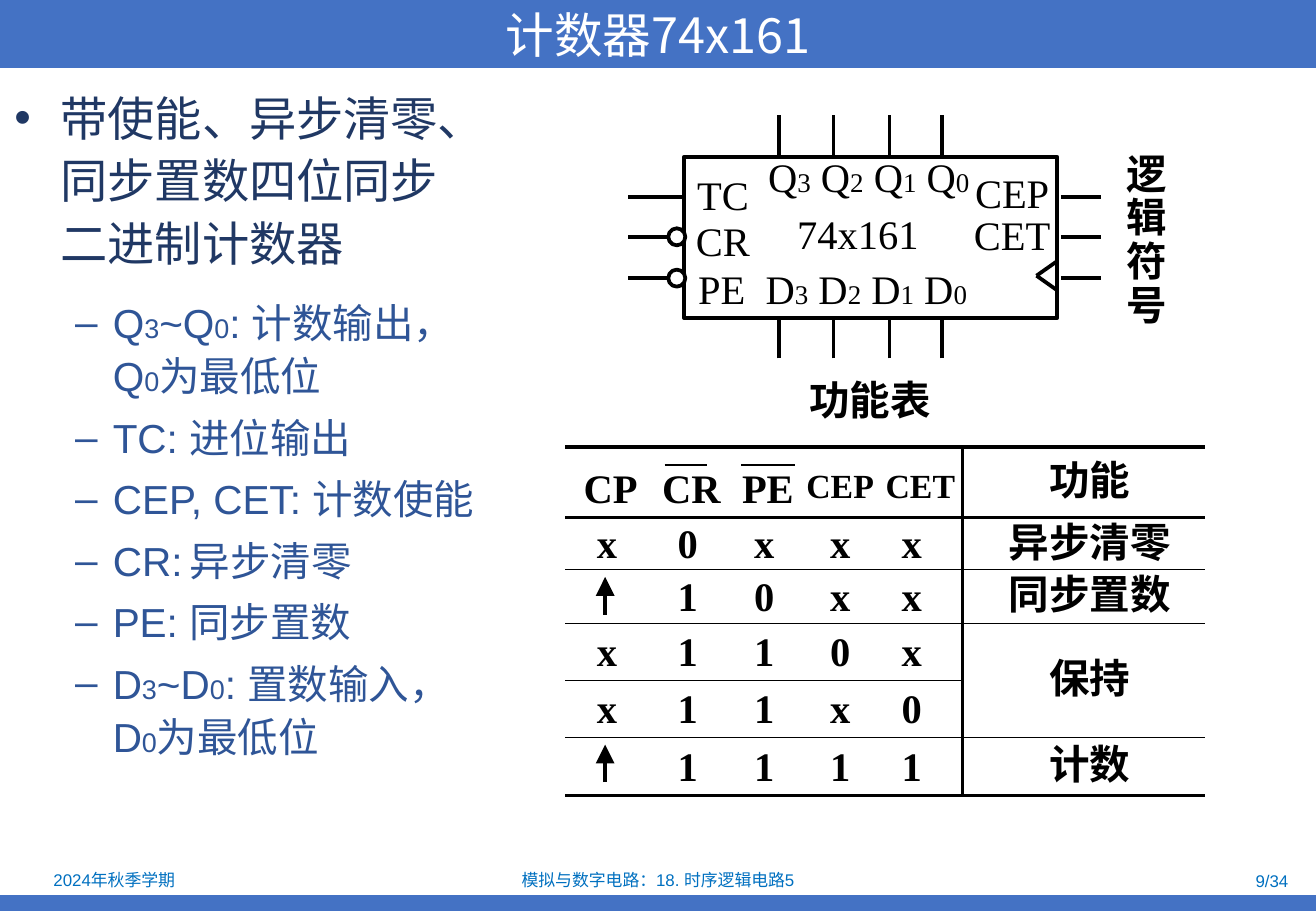
import pptx
import pptx.util
import pptx.dml.color
import pptx.enum.shapes
import pptx.enum.text
import pptx.oxml
import pptx.oxml.ns
from lxml import etree

Inches, Pt = pptx.util.Inches, pptx.util.Pt
RGBColor = pptx.dml.color.RGBColor
SHAPE = pptx.enum.shapes.MSO_SHAPE
ALIGN = pptx.enum.text.PP_ALIGN
ANCHOR = pptx.enum.text.MSO_ANCHOR
qn = pptx.oxml.ns.qn

BLUE = RGBColor(0x44, 0x72, 0xC4)
NAVY = RGBColor(0x20, 0x38, 0x64)
MID_BLUE = RGBColor(0x2F, 0x55, 0x97)
FOOTER_BLUE = RGBColor(0x00, 0x70, 0xC0)
WHITE = RGBColor(0xFF, 0xFF, 0xFF)
BLACK = RGBColor(0, 0, 0)
ARIAL, TIMES, CJK = "Arial", "Times New Roman", "Noto Sans CJK SC"

TITLE = "计数器74x161"
HEADING = "带使能、异步清零、同步置数四位同步二进制计数器"
SIGNALS = ["Q_3~Q_0: 计数输出，Q_0为最低位", "TC: 进位输出", "CEP, CET: 计数使能",
           "CR:_ 异步清零", "PE: 同步置数", "D_3~D_0: 置数输入，D_0为最低位"]
FOOTERS = [("2024年秋季学期", 0.02, 7.13, 1.84, ALIGN.CENTER),
           ("模拟与数字电路：18. 时序逻辑电路5", 3.7, 7.13, 3.43, ALIGN.CENTER),
           ("9/34", 8.17, 7.14, 2.53, ALIGN.RIGHT)]
SYMBOL_LABELS = [("Q_3 Q_2 Q_1 Q_0", 7.15, 1.45), ("D_3 D_2 D_1 D_0", 7.13, 2.37),
                 ("74x161", 7.06, 1.92), ("TC", 5.95, 1.6), ("CR", 5.95, 1.98),
                 ("PE", 5.94, 2.37), ("CEP", 8.33, 1.58), ("CET", 8.33, 1.93)]
SYMBOL_NAME = "逻辑符号"
TABLE_NAME = "功能表"
RISING = "↑"
FUNCTION_TABLE = [("CP", "CR", "PE", "CEP", "CET", "功能"),
                  ("x", "0", "x", "x", "x", "异步清零"),
                  (RISING, "1", "0", "x", "x", "同步置数"),
                  ("x", "1", "1", "0", "x", "保持"),
                  ("x", "1", "1", "x", "0", ""),
                  (RISING, "1", "1", "1", "1", "计数")]
OVERBARS = [(5.47, 5.82), (6.1, 6.54)]
COL_EDGES = [4.65, 5.34, 5.98, 6.6, 7.23, 7.92, 9.92]
ROW_EDGES = [3.68, 4.26, 4.69, 5.13, 5.6, 6.07, 6.55]
HOLD_ROW, CET_COL, FUNCTION_COL = 3, 4, 5
PIN_XS = [6.41, 6.86, 7.32, 7.75]
PIN_YS = [1.62, 1.95, 2.29]
CHIP = (5.63, 1.29, 3.07, 1.33)

prs = pptx.Presentation()
prs.slide_width, prs.slide_height = Inches(10.83), Inches(7.5)
s = prs.slides.add_slide(prs.slide_layouts[6])


def style(r, size, color, font=TIMES, bold=False):
    r.font.size, r.font.name, r.font.bold = Pt(size), font, bold
    r.font.color.rgb = color
    ea = etree.SubElement(r.font._element, qn("a:ea"))
    ea.set("typeface", CJK)


def write(p, text, size, color, font=TIMES, bold=False):
    head, *rest = text.split("_")
    pieces = [(head, size)]
    for part in rest:
        pieces += [(part[0], 16), (part[1:], size)]
    for piece, piece_size in pieces:
        if piece:
            r = p.add_run()
            r.text = piece
            style(r, piece_size, color, font, bold)


def text_box(x, y, w, h, inset=0.0):
    tf = s.shapes.add_textbox(Inches(x), Inches(y), Inches(w), Inches(h)).text_frame
    tf.word_wrap = True
    tf.margin_left = tf.margin_right = Inches(inset)
    tf.margin_top = tf.margin_bottom = Inches(inset / 2)
    tf.vertical_anchor = ANCHOR.MIDDLE
    return tf


def label(text, cx, cy, size=24, font=TIMES, bold=False):
    p = text_box(cx - 1, cy - 0.25, 2, 0.5).paragraphs[0]
    p.alignment = ALIGN.CENTER
    write(p, text, size, BLACK, font, bold)


def shape(kind, x, y, w, h, fill=None, line=None):
    sp = s.shapes.add_shape(kind, Inches(x), Inches(y), Inches(w), Inches(h))
    sp.shadow.inherit = False
    if fill is None:
        sp.fill.background()
    else:
        sp.fill.solid()
        sp.fill.fore_color.rgb = fill
    if line is None:
        sp.line.fill.background()
    else:
        sp.line.color.rgb, sp.line.width = line, Pt(2.25)
    return sp


def line(x1, y1, x2, y2, width=2.25, arrow=False):
    cn = s.shapes.add_connector(pptx.enum.shapes.MSO_CONNECTOR.STRAIGHT,
                                Inches(x1), Inches(y1), Inches(x2), Inches(y2))
    cn.line.color.rgb, cn.line.width = BLACK, Pt(width)
    if arrow:
        etree.SubElement(cn.line._get_or_add_ln(), qn("a:tailEnd"),
                         type="triangle", w="lg", len="lg")
    etree.SubElement(cn._element.spPr, qn("a:effectLst"))


def bullet(p, char, left, hang):
    pPr = p._p.get_or_add_pPr()
    pPr.set("marL", str(Inches(left)))
    pPr.set("indent", str(-Inches(hang)))
    etree.SubElement(pPr, qn("a:buFont")).set("typeface", ARIAL)
    etree.SubElement(pPr, qn("a:buChar")).set("char", char)


def borders(cell, **widths):
    tcPr = cell._tc.get_or_add_tcPr()
    for i, side in enumerate("LRTB"):
        width = widths.get(side, 0)
        ln = etree.Element(qn("a:ln" + side), w=str(Pt(width)))
        if width:
            fill = etree.SubElement(ln, qn("a:solidFill"))
            etree.SubElement(fill, qn("a:srgbClr")).set("val", str(BLACK))
        else:
            etree.SubElement(ln, qn("a:noFill"))
        tcPr.insert(i, ln)


shape(SHAPE.RECTANGLE, 0, 7.37, 10.83, 0.13, BLUE)
tf = shape(SHAPE.RECTANGLE, 0, 0, 10.83, 0.56, BLUE).text_frame
tf.margin_top = tf.margin_bottom = 0
tf.vertical_anchor = ANCHOR.MIDDLE
tf.paragraphs[0].alignment = ALIGN.CENTER
write(tf.paragraphs[0], TITLE, 28.8, WHITE, CJK)

for text, x, y, w, align in FOOTERS:
    p = text_box(x, y, w, 0.23, 0.1).paragraphs[0]
    p.alignment = align
    write(p, text, 10, FOOTER_BLUE, ARIAL)

tf = text_box(0.02, 0.64, 4, 6.5, 0.1)
tf.vertical_anchor = ANCHOR.TOP
p = tf.paragraphs[0]
p.line_spacing, p.space_after = 1.1, Pt(8.4)
bullet(p, "•", 0.38, 0.38)
write(p, HEADING, 28, NAVY, ARIAL)
for text in SIGNALS:
    p = tf.add_paragraph()
    p.line_spacing, p.space_before = 1.1, Pt(4.8)
    bullet(p, "–", 0.81, 0.31)
    write(p, text, 24, MID_BLUE, ARIAL)

left, top, width, height = CHIP
right, bottom = left + width, top + height
shape(SHAPE.RECTANGLE, *CHIP, line=BLACK)
for x in PIN_XS:
    line(x, top, x, 0.95)
    line(x, 2.95, x, bottom)
for y in PIN_YS:
    line(5.17, y, left, y)
    line(8.73, y, 9.06, y)
for y in PIN_YS[1:]:
    shape(SHAPE.OVAL, 5.5, y - 0.07, 0.14, 0.14, WHITE, BLACK)
for y in (2.15, 2.39):
    line(right, y, 8.53, 2.27)
for text, cx, cy in SYMBOL_LABELS:
    label(text, cx, cy)

tf = text_box(9.1, 1.22, 0.67, 1.54, 0.1)
tf.vertical_anchor = ANCHOR.TOP
for i, char in enumerate(SYMBOL_NAME):
    p = tf.add_paragraph() if i else tf.paragraphs[0]
    p.alignment, p.line_spacing = ALIGN.CENTER, 0.9
    write(p, char, 24, BLACK, ARIAL, True)

label(TABLE_NAME, 7.16, 3.29, font=ARIAL, bold=True)
last = len(FUNCTION_TABLE) - 1
table = s.shapes.add_table(len(FUNCTION_TABLE), len(COL_EDGES) - 1, Inches(COL_EDGES[0]),
                           Inches(ROW_EDGES[0]), Inches(COL_EDGES[-1] - COL_EDGES[0]),
                           Inches(ROW_EDGES[-1] - ROW_EDGES[0])).table
table.first_row = table.horz_banding = False
for col, a, b in zip(table.columns, COL_EDGES, COL_EDGES[1:]):
    col.width = Inches(b - a)
for row, a, b in zip(table.rows, ROW_EDGES, ROW_EDGES[1:]):
    row.height = Inches(b - a)
table.cell(HOLD_ROW, FUNCTION_COL).merge(table.cell(HOLD_ROW + 1, FUNCTION_COL))

for i, values in enumerate(FUNCTION_TABLE):
    for j, text in enumerate(values):
        cell = table.cell(i, j)
        small = text in ("CEP", "CET")
        in_function = j == FUNCTION_COL
        cell.margin_left = Inches(0.1 if in_function else 0.06 if i == 0 and not small else 0)
        cell.margin_right = Inches(0.14 if i and j == CET_COL else 0)
        cell.margin_top = Inches(0.1 if i == 0 and j < 3 else 0)
        cell.margin_bottom = 0
        cell.vertical_anchor = ANCHOR.MIDDLE
        cell.fill.background()
        p = cell.text_frame.paragraphs[0]
        p.alignment, p.line_spacing = ALIGN.CENTER, Pt(30 if in_function else 28)
        if text == RISING:
            line(4.98, ROW_EDGES[i] + 0.37, 4.98, ROW_EDGES[i] + 0.06, arrow=True)
        else:
            write(p, text, 20 if small else 24, BLACK, bold=True)
        in_hold = in_function and i in (HOLD_ROW, HOLD_ROW + 1)
        borders(cell,
                L=2.25 if in_function else 0,
                R=2.25 if j == CET_COL else 0,
                T=2.25 if i < 2 else 0 if in_hold and i > HOLD_ROW else 0.75,
                B=2.25 if i in (0, last) else 0 if in_hold and i == HOLD_ROW else 0.75)
for x1, x2 in OVERBARS:
    line(x1, 3.83, x2, 3.83, 1.5)

prs.save("out.pptx")
